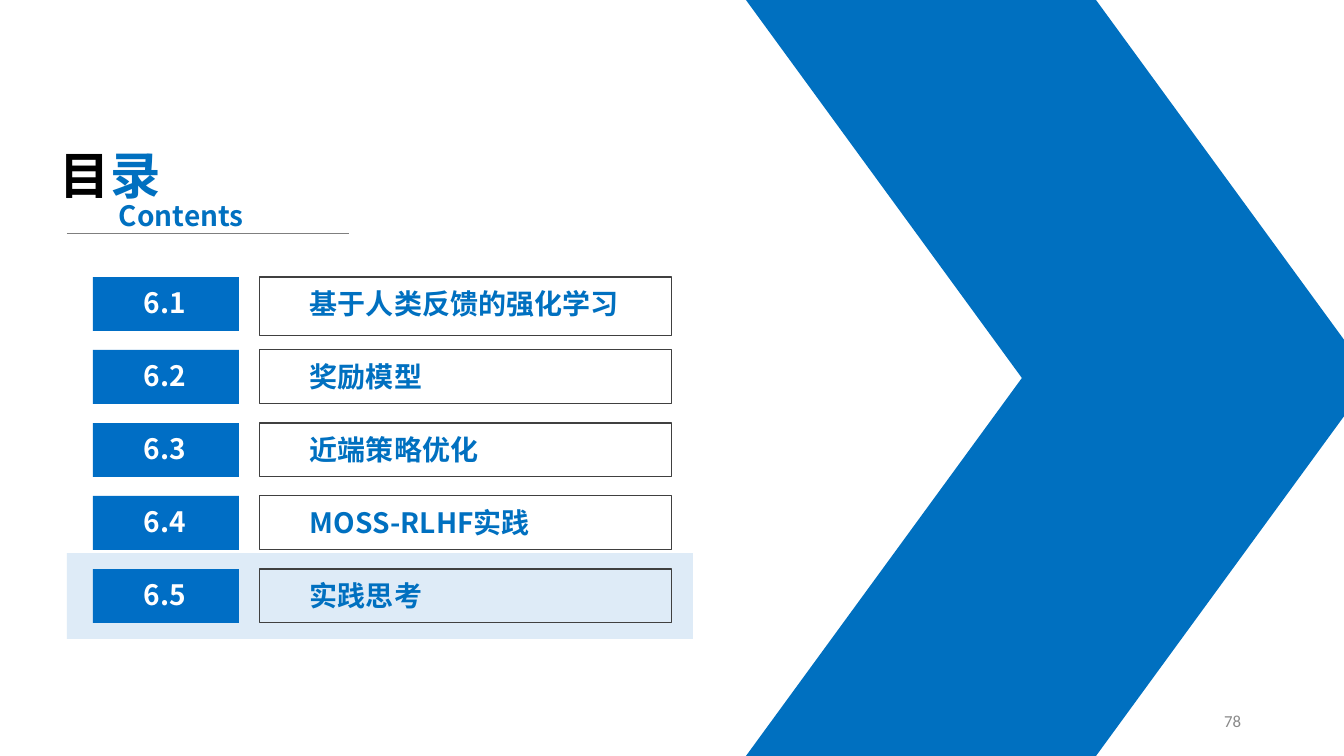
from pptx import Presentation
from pptx.dml.color import RGBColor
from pptx.enum.shapes import MSO_CONNECTOR as Connector, MSO_SHAPE as Shape
from pptx.enum.text import MSO_ANCHOR as Anchor, PP_ALIGN as Align
from pptx.oxml.ns import qn
from pptx.util import Pt
from lxml.etree import SubElement

EMU_PER_PX = 914400 / 100.8
COLORS = {
    "arrow": "0070C0", "number": "006EC5", "frame": "404040", "rule": "7F7F7F",
    "highlight": "DEEBF7", "black": "000000", "white": "FFFFFF", "page": "898989",
}
CJK_FONT = "Noto Sans CJK SC"
HEADING = {"size": Pt(20), "bold": True, "name": CJK_FONT}
TITLE = {**HEADING, "size": Pt(36)}
PAGE_NUMBER = {"size": Pt(12), "bold": False, "name": "Calibri"}

SECTIONS = ["基于人类反馈的强化学习", "奖励模型", "近端策略优化", "MOSS-RLHF实践", "实践思考"]
CURRENT_SECTION = 4
ROW_TOP, ROW_PITCH, ROW_HEIGHT = 277, 73, 54
ARROW_LEFT, ARROW_WIDTH, ARROW_HEIGHT = 746, 626, 378


def px(*lengths):
    return [round(length * EMU_PER_PX) for length in lengths]


def color(name):
    return RGBColor.from_string(COLORS[name])


def add_block(slide, kind, box, fill=None, line=None):
    shape = slide.shapes.add_shape(kind, *px(*box))
    shape.shadow.inherit = False
    if fill:
        shape.fill.solid()
        shape.fill.fore_color.rgb = color(fill)
    else:
        shape.fill.background()
    if line:
        shape.line.color.rgb = color(line)
        shape.line.width = Pt(0.75)
    else:
        shape.line.fill.background()
    return shape


def add_text(slide, box, runs, font_format, align=Align.LEFT, anchor=Anchor.TOP):
    """Add one paragraph made of (text, color name) runs."""
    frame = slide.shapes.add_textbox(*px(*box)).text_frame
    frame.word_wrap = True
    frame.vertical_anchor = anchor
    paragraph = frame.paragraphs[0]
    paragraph.alignment = align
    for text, color_name in runs:
        run = paragraph.add_run()
        run.text = text
        for attribute, value in font_format.items():
            setattr(run.font, attribute, value)
        run.font.color.rgb = color(color_name)
        east_asian = SubElement(run._r.get_or_add_rPr(), qn("a:ea"))
        east_asian.set("typeface", font_format["name"])


def add_rule(slide, left, right, y):
    rule = slide.shapes.add_connector(Connector.STRAIGHT, *px(left, y, right, y))
    rule.line.color.rgb = color("rule")
    rule.line.width = Pt(0.5)
    SubElement(rule.element.spPr, qn("a:effectLst"))


def add_big_arrow(slide):
    """Form the arrow from a slanted half and its mirror image above."""
    for top, mirrored in ((ARROW_HEIGHT, False), (0, True)):
        box = (ARROW_LEFT, top, ARROW_WIDTH, ARROW_HEIGHT)
        half = add_block(slide, Shape.PARALLELOGRAM, box, fill="arrow")
        half.adjustments[0] = 0.73
        if mirrored:
            half.element.spPr.xfrm.set("flipV", "1")


def add_title(slide):
    add_text(slide, (50, 139, 158, 71), [("目", "black"), ("录", "arrow")], TITLE)
    add_rule(slide, 67, 349, 233)
    add_text(slide, (109, 194, 158, 44), [("Contents", "arrow")], HEADING)


def add_section(slide, index, name):
    top = ROW_TOP + index * ROW_PITCH
    frame_height = ROW_HEIGHT + (5 if index == 0 else 0)
    add_block(slide, Shape.RECTANGLE, (260, top, 412, frame_height), line="frame")
    add_text(slide, (300, top + 5, 372, 44), [(name, "arrow")], HEADING)
    add_block(slide, Shape.RECTANGLE, (93, top, 146, ROW_HEIGHT), fill="number")
    add_text(slide, (112, top + 4, 106, 44), [(f"6.{index + 1}", "white")],
             HEADING, Align.CENTER)


def main():
    presentation = Presentation()
    presentation.slide_width, presentation.slide_height = px(1344, 756)
    slide = presentation.slides.add_slide(presentation.slide_layouts[6])

    highlight_top = ROW_TOP + CURRENT_SECTION * ROW_PITCH - 16
    add_block(slide, Shape.RECTANGLE, (67, highlight_top, 626, 86), fill="highlight")
    add_big_arrow(slide)
    add_title(slide)
    for index, name in enumerate(SECTIONS):
        add_section(slide, index, name)
    add_text(slide, (949, 701, 302, 40), [("78", "page")], PAGE_NUMBER,
             Align.RIGHT, Anchor.MIDDLE)

    presentation.save("out.pptx")


if __name__ == "__main__":
    main()
